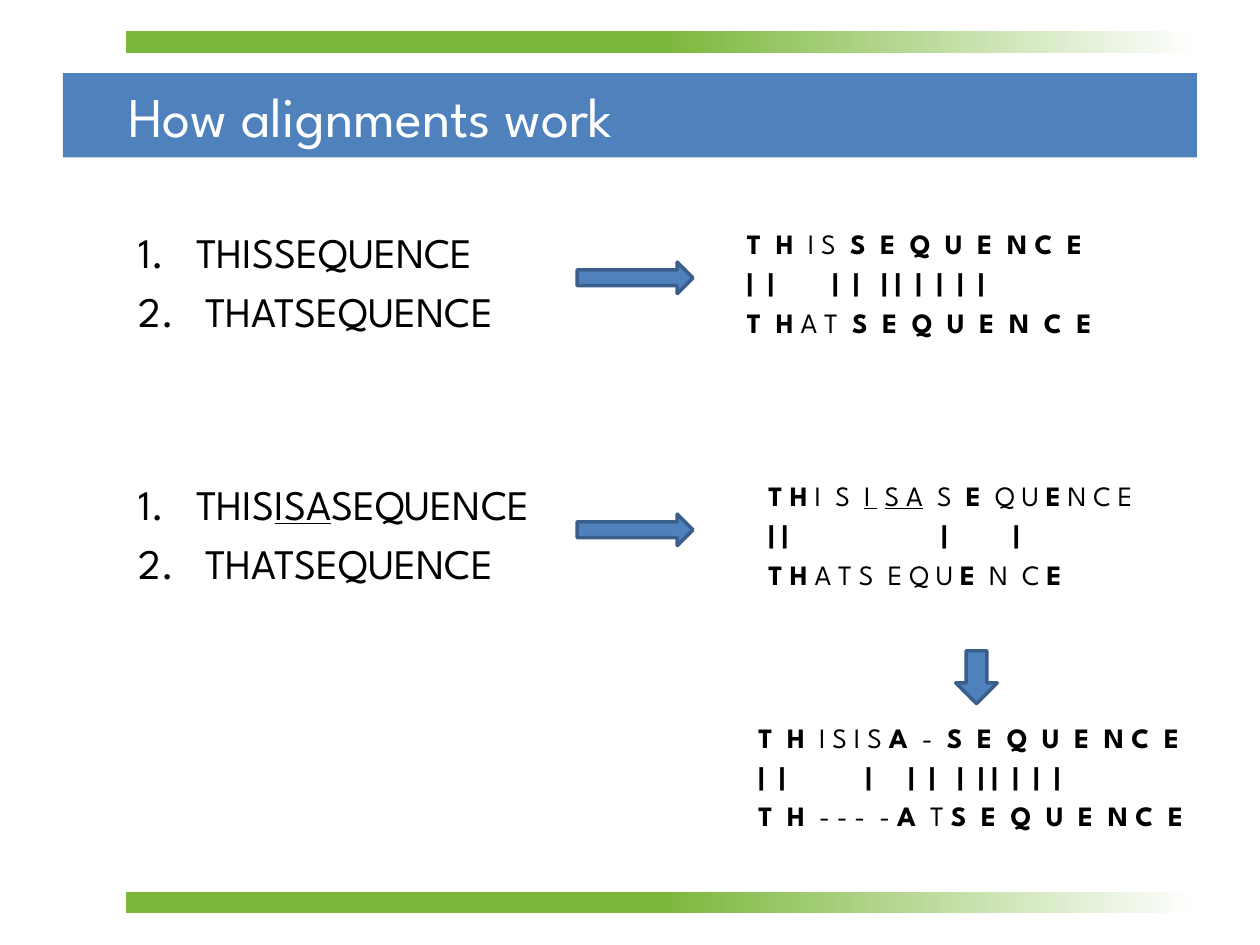
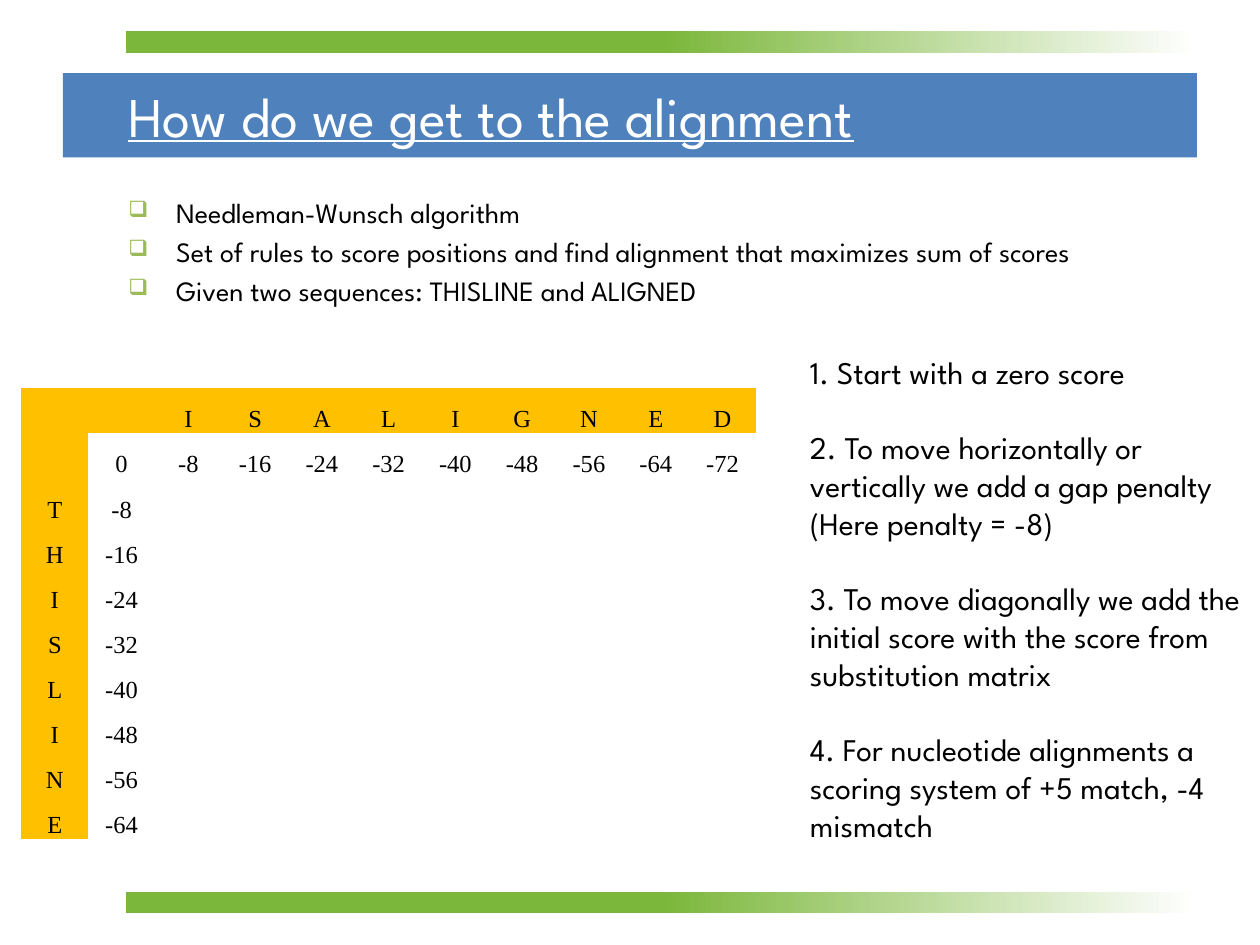
import itertools

import lxml.etree
import pptx
import pptx.dml.color
import pptx.enum.shapes
import pptx.enum.text
import pptx.oxml.ns
import pptx.util

Inches, Pt = pptx.util.Inches, pptx.util.Pt
SHAPE = pptx.enum.shapes.MSO_SHAPE
ANCHOR = pptx.enum.text.MSO_ANCHOR
qn = pptx.oxml.ns.qn

# Shared look
COLORS = {"blue": "4F81BD", "outline": "3A5F8C", "green": "7BB73B", "bullet": "9BBB59",
          "gold": "FFC000", "white": "FFFFFF", "black": "000000"}
FONT, TABLE_FONT = "League Spartan", "Times New Roman"
NO_STYLE_NO_GRID = "{2D5ABB26-0587-4C30-8999-92F81FD0307C}"
SPACE_WIDTH = 4.17  # points, at 16 pt
HANG = 0.38

# Sequence lists: left, top, then (hanging indent, runs) per line; u = underlined
SEQUENCE_LISTS = [
    (1, 1.75, [(0.46, [("1.\tTHISSEQUENCE", "")]),
               (0.53, [("2.\tTHATSEQUENCE", "")])]),
    (1, 3.75, [(0.46, [("1.\tTHIS", ""), ("ISA", "u"), ("SEQUENCE", "")]),
               (0.53, [("2.\tTHATSEQUENCE", "")])]),
]

# Alignments: left, top, rows of runs; a number is a gap that many spaces wide, b = bold
ALIGNMENTS = [
    (5.83, 1.75, [
        [("T2H", "b"), ("2I1S2", ""), ("S2E2Q2U2E2N1C2E", "b")],
        [("|2|8|2|3|1|2|2|2|2|", "b")],
        [("T2H", "b"), ("1A1T2", ""), ("S2E2Q2U2E2N2C2E", "b")]]),
    (6, 3.75, [
        [("T1H", "b"), ("1I2S2", ""), ("I2S1A", "u"), ("2S2", ""), ("E", "b"),
         ("2Q1U1", ""), ("E", "b"), ("1N1C1E", "")],
        [("|1|21|9|", "b")],
        [("T1H", "b"), ("1A1T1S2E1Q1U1", ""), ("E", "b"), ("2N2C1", ""), ("E", "b")]]),
    (5.92, 5.67, [
        [("T2H", "b"), ("2I1S1I1S1", ""), ("A", "b"), ("2-2", ""),
         ("S2E2Q2U2E2N1C2E", "b")],
        [("|2|11|5|2|3|2|1|2|2|2|", "b")],
        [("T2H", "b"), ("2-1-1-2-1", ""), ("A", "b"), ("2T1", ""),
         ("S2E2Q2U2E2N1C2E", "b")]]),
]

# Arrows: left, top, width, height, rotation
ARROWS = [(4.58, 2.08, 0.92, 0.25, 0), (4.58, 4.08, 0.92, 0.25, 0),
          (7.54, 5.21, 0.42, 0.33, 90)]

# Scoring slide
RULES = [
    "Needleman-Wunsch algorithm",
    "Set of rules to score positions and find alignment that maximizes sum of scores",
    "Given two sequences: THISLINE and ALIGNED",
]
STEPS = [
    "1. Start with a zero score",
    "2. To move horizontally or vertically we add a gap penalty (Here penalty = -8)",
    "3. To move diagonally we add the initial score with the score from substitution matrix",
    "4. For nucleotide alignments a scoring system of +5 match, -4 mismatch",
]
ACROSS, DOWN, GAP_PENALTY = "ISALIGNED", "THISLINE", -8


def rgb(name):
    return pptx.dml.color.RGBColor.from_string(COLORS[name])


def set_font(para, size, color="black", name=FONT):
    para.font.size, para.font.name = Pt(size), name
    para.font.color.rgb = rgb(color)


def add_text_box(page, left, top, width, height):
    frame = page.shapes.add_textbox(*map(Inches, (left, top, width, height))).text_frame
    frame.word_wrap = True
    return frame


def next_para(frame, index, space_before):
    if index == 0:
        return frame.paragraphs[0]
    para = frame.add_paragraph()
    para.space_before = Pt(space_before)
    return para


def hang(para, indent):
    properties = para._p.get_or_add_pPr()
    properties.set("marL", str(Inches(indent)))
    properties.set("indent", str(-Inches(indent)))
    return properties


def add_span(para, text, style):
    span = para.add_run()
    span.text = text
    span.font.bold = style == "b"
    span.font.underline = style == "u"
    return span


def add_aligned_spans(para, text, style):
    """Write each number as one space widened to that many spaces."""
    for is_gap, group in itertools.groupby(text, str.isdigit):
        part = "".join(group)
        span = add_span(para, " " if is_gap else part, style)
        if is_gap:
            extra = (int(part) - 1) * SPACE_WIDTH
            span._r.get_or_add_rPr().set("spc", str(round(extra * 100)))


def add_bar(page, left, top, width, height):
    bar = page.shapes.add_shape(SHAPE.RECTANGLE, *map(Inches, (left, top, width, height)))
    bar.shadow.inherit = False
    bar.line.fill.background()
    return bar


def add_page(deck, title, underline=False):
    page = deck.slides.add_slide(deck.slide_layouts[6])
    band = add_bar(page, 0.5, 0.58, 9, 0.67)
    band.fill.solid()
    band.fill.fore_color.rgb = rgb("blue")
    for top in (0.25, 7.08):
        strip = add_bar(page, 1, top, 8.5, 0.17)
        strip.fill.gradient()
        strip.fill.gradient_angle = 0
        for stop, position, color in zip(strip.fill.gradient_stops, (0.5, 1), ("green", "white")):
            stop.position = position
            stop.color.rgb = rgb(color)
    frame = add_text_box(page, 0.92, 0.58, 8.58, 0.67)
    frame.vertical_anchor = ANCHOR.MIDDLE
    para = frame.paragraphs[0]
    para.text = title
    set_font(para, 32, "white")
    para.font.underline = underline
    return page


def build_alignment_page(deck):
    page = add_page(deck, "How alignments work")
    for left, top, lines in SEQUENCE_LISTS:
        frame = add_text_box(page, left, top, 4.67, 1.33)
        for index, (indent, spans) in enumerate(lines):
            para = next_para(frame, index, 4.8)
            hang(para, indent)
            set_font(para, 24)
            for text, style in spans:
                add_span(para, text, style)

    for left, top, rows in ALIGNMENTS:
        frame = add_text_box(page, left, top, 4, 1.33)
        for index, spans in enumerate(rows):
            para = next_para(frame, index, 3.2)
            set_font(para, 16)
            for text, style in spans:
                add_aligned_spans(para, text, style)

    for left, top, width, height, rotation in ARROWS:
        arrow = page.shapes.add_shape(SHAPE.RIGHT_ARROW,
                                      *map(Inches, (left, top, width, height)))
        arrow.shadow.inherit = False
        arrow.rotation = rotation
        arrow.fill.solid()
        arrow.fill.fore_color.rgb = rgb("blue")
        arrow.line.color.rgb = rgb("outline")
        arrow.line.width = Pt(2)


def add_bullet(para):
    properties = hang(para, HANG)
    color = lxml.etree.SubElement(properties, qn("a:buClr"))
    lxml.etree.SubElement(color, qn("a:srgbClr"), val=COLORS["bullet"])
    lxml.etree.SubElement(properties, qn("a:buSzPct"), val="80000")
    lxml.etree.SubElement(properties, qn("a:buChar"), char="❑")


def add_score_table(page):
    # Letters around the edge, gap scores along the first row and column
    scores = [str(GAP_PENALTY * step) for step in range(len(ACROSS) + 1)]
    blanks = [""] * len(ACROSS)
    rows = [["", "", *ACROSS], ["", *scores]]
    rows += [[letter, score, *blanks] for letter, score in zip(DOWN, scores[1:])]

    holder = page.shapes.add_table(len(rows), len(rows[0]), Inches(0.17), Inches(3.08),
                                   Inches(5.83), Inches(3.58))
    table = holder.table
    table.first_row = table.horz_banding = False
    table._tbl.tblPr.find(qn("a:tableStyleId")).text = NO_STYLE_NO_GRID
    for r, row in enumerate(rows):
        for c, text in enumerate(row):
            cell = table.cell(r, c)
            cell.margin_left = cell.margin_right = cell.margin_top = Inches(0.01)
            cell.margin_bottom = 0
            cell.vertical_anchor = ANCHOR.BOTTOM
            if r == 0 or c == 0:
                cell.fill.solid()
                cell.fill.fore_color.rgb = rgb("gold")
            else:
                cell.fill.background()
            para = cell.text_frame.paragraphs[0]
            para.text = text
            para.alignment = pptx.enum.text.PP_ALIGN.CENTER
            set_font(para, 14, name=TABLE_FONT)


def build_scoring_page(deck):
    page = add_page(deck, "How do we get to the alignment", underline=True)
    frame = add_text_box(page, 0.92, 1.5, 8.58, 1.42)
    for index, rule in enumerate(RULES):
        para = next_para(frame, index, 3.2)
        para.text = rule
        add_bullet(para)
        set_font(para, 16)

    frame = add_text_box(page, 6.33, 2.75, 3.67, 4.64)
    for index, step in enumerate(STEPS):
        para = next_para(frame, index, 21.5)
        para.text = step
        set_font(para, 18)
    add_score_table(page)


def main():
    deck = pptx.Presentation()
    deck.slide_width, deck.slide_height = Inches(10), Inches(7.5)
    build_alignment_page(deck)
    build_scoring_page(deck)
    deck.save("out.pptx")


if __name__ == "__main__":
    main()
